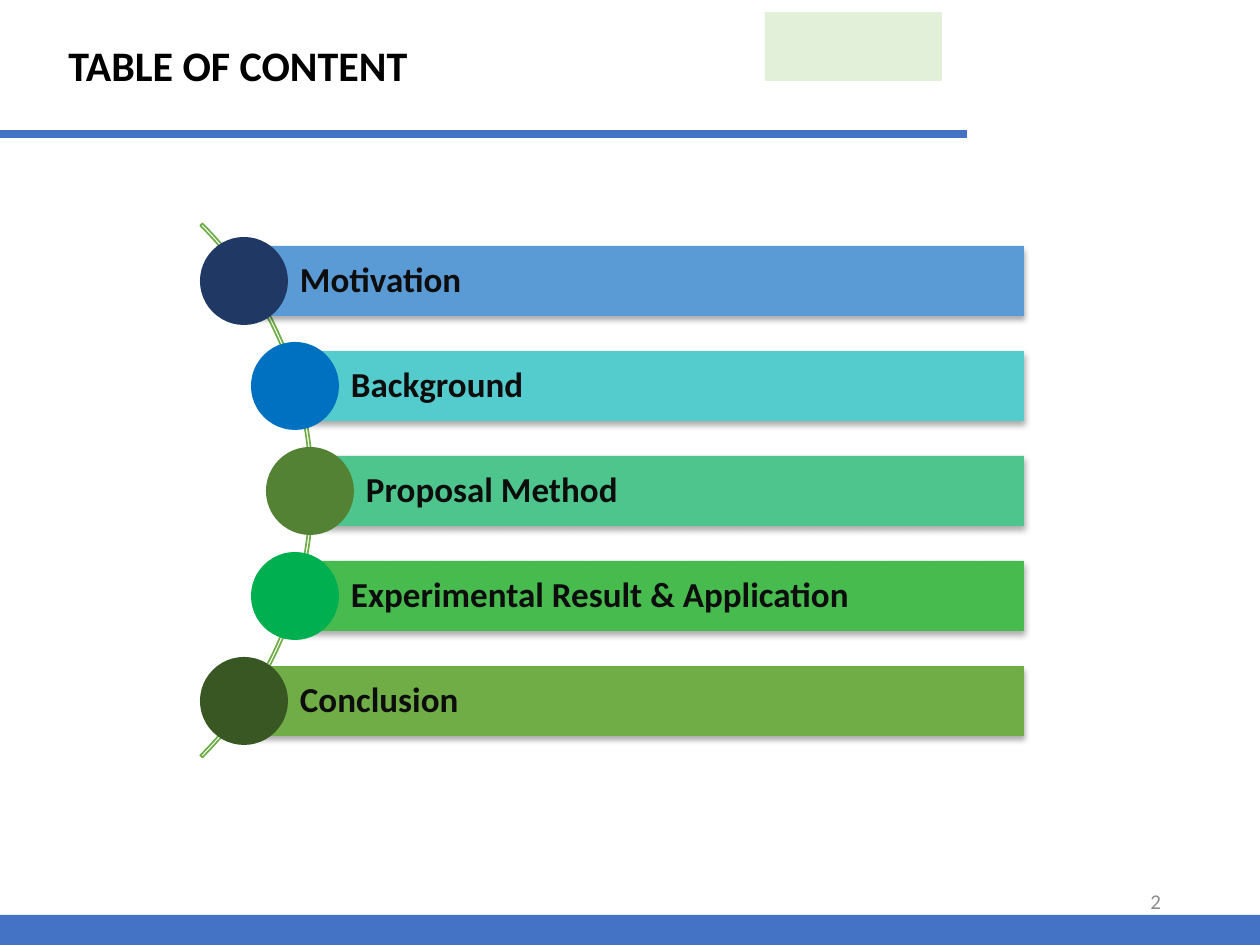
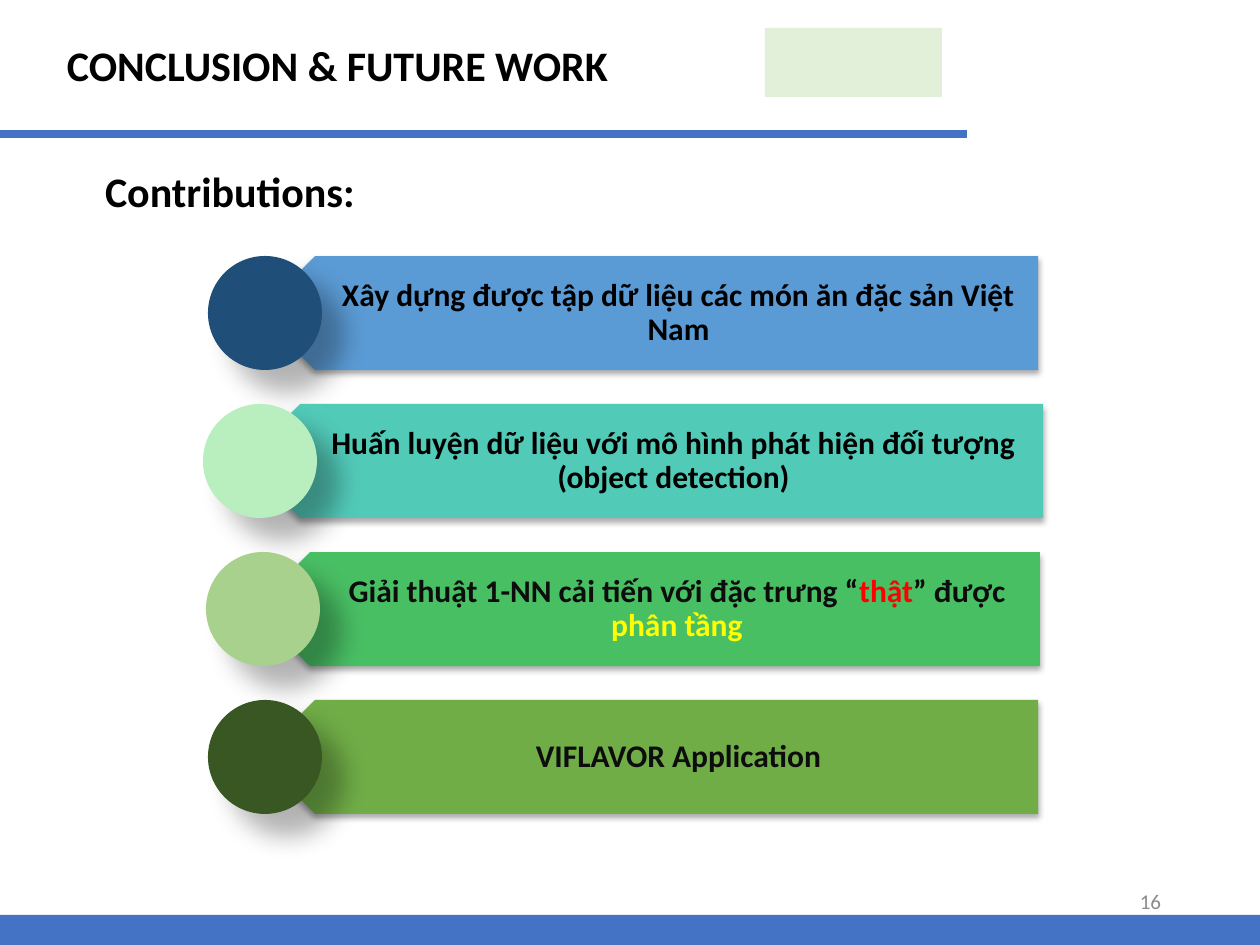
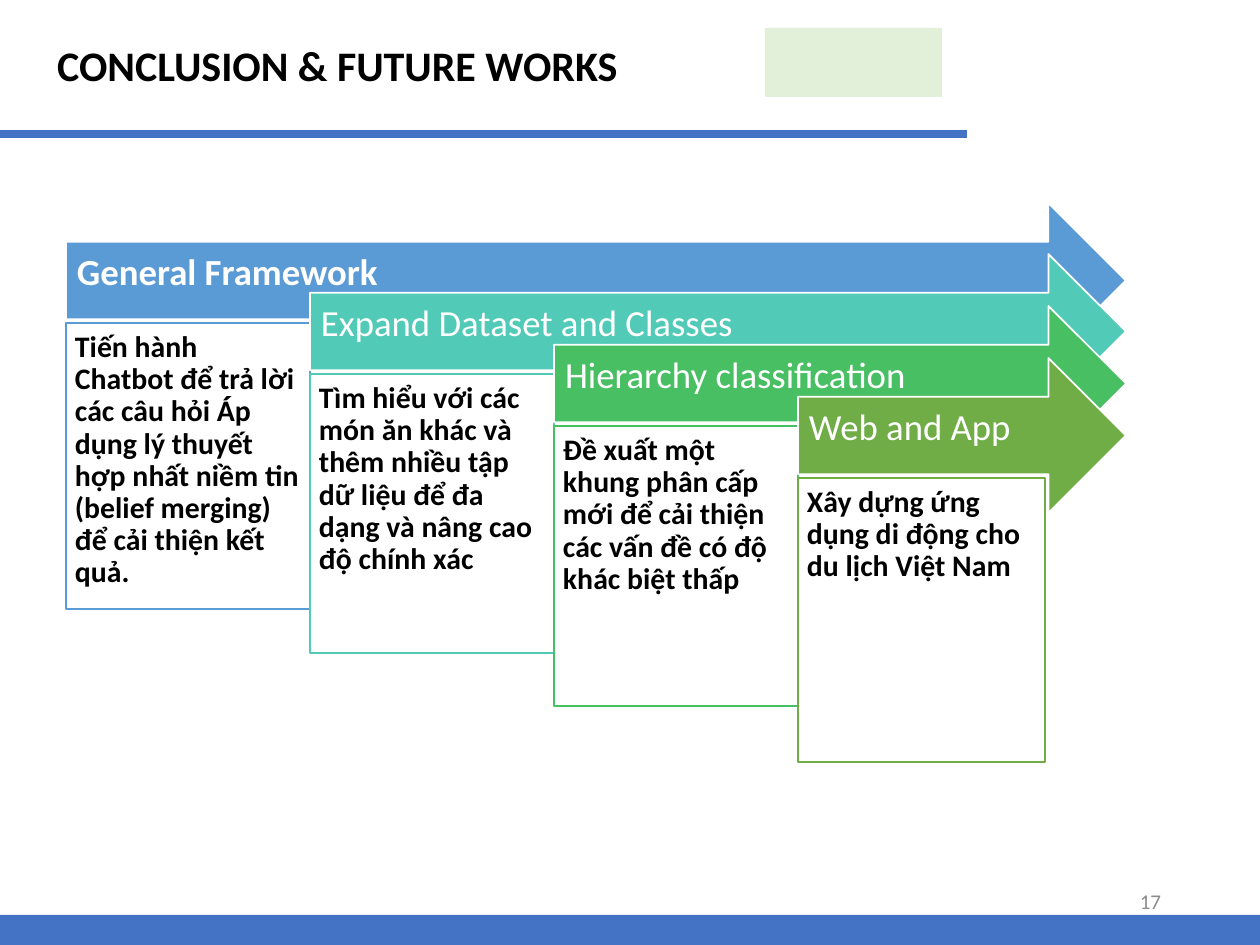
from dataclasses import dataclass

from lxml import etree
from pptx import Presentation
from pptx.dml.color import RGBColor
from pptx.enum.shapes import MSO_SHAPE
from pptx.enum.text import MSO_ANCHOR, PP_ALIGN
from pptx.oxml.ns import qn
from pptx.util import Emu, Pt

RECTANGLE, ELLIPSE = MSO_SHAPE.RECTANGLE, MSO_SHAPE.OVAL
PLATE, ARROW, ARC = MSO_SHAPE.PENTAGON, MSO_SHAPE.RIGHT_ARROW, MSO_SHAPE.BLOCK_ARC
LEFT, CENTER, RIGHT = PP_ALIGN.LEFT, PP_ALIGN.CENTER, PP_ALIGN.RIGHT
TOP, MIDDLE = MSO_ANCHOR.TOP, MSO_ANCHOR.MIDDLE


@dataclass(frozen=True)
class Theme:
    font: str = "Calibri"
    band: str = "4472C4"
    black: str = "000000"
    ink: str = "0D0D0D"
    white: str = "FFFFFF"
    grey: str = "8C8C8C"
    pale: str = "E2F0D9"
    red: str = "FF0000"
    yellow: str = "FFFF00"
    blue: str = "5B9BD5"
    teal: str = "52CAB8"
    green: str = "49BF64"
    olive: str = "70AD47"
    forest: str = "385723"
    title_size: int = 24
    arrow_size: int = 21
    agenda_size: int = 20
    item_size: int = 18
    detail_size: int = 17
    number_size: int = 12


THEME = Theme()
# Shadows: opacity %, blur pt, distance pt, angle
BAR_SHADOW = (32, 3.5, 2.2, 90)
DISC_SHADOW = (30, 15, 18, 45)

# Title, title left and width, page number, header block top
FRAMES = {
    "agenda": ("TABLE OF CONTENT", 54, 368, "2", 12),
    "contributions": ("CONCLUSION & FUTURE WORK", 52, 571, "16", 28),
    "future": ("CONCLUSION & FUTURE WORKS", 42, 591, "17", 28),
}
# Label, bar left, bar colour, disc colour
AGENDA = [
    ("Motivation", 244, THEME.blue, "203864"),
    ("Background", 295, "54CCCD", "0070C0"),
    ("Proposal Method", 310, "4DC58D", "548235"),
    ("Experimental Result & Application", 295, "48BB4F", "00B050"),
    ("Conclusion", 244, THEME.olive, THEME.forest),
]
# Spans, plate left and right, disc left, plate colour, disc colour
CONTRIBUTIONS = [
    ([("Xây dựng được tập dữ liệu các món ăn đặc sản Việt Nam", THEME.black)],
     258, 1038, 208, THEME.blue, "1F4E79"),
    ([("Huấn luyện dữ liệu với mô hình phát hiện đối tượng (object detection)", THEME.black)],
     243, 1043, 203, THEME.teal, "B9EFBF"),
    ([("Giải thuật 1-NN cải tiến với đặc trưng “", THEME.ink), ("thật", THEME.red),
      ("” được ", THEME.ink), ("phân tầng", THEME.yellow)],
     253, 1040, 206, THEME.green, "A9D18E"),
    ([("VIFLAVOR Application", THEME.ink)],
     258, 1038, 208, THEME.olive, THEME.forest),
]
# Heading, bold heading, detail, detail width and height, colour
FUTURE = [
    ("General Framework", True,
     "Tiến hành Chatbot để trả lời các câu hỏi Áp dụng lý thuyết hợp nhất niềm tin "
     "(belief merging) để cải thiện kết quả.", 244, 286, THEME.blue),
    ("Expand Dataset and Classes", False,
     "Tìm hiểu với các món ăn khác và thêm nhiều tập dữ liệu để đa dạng và nâng cao "
     "độ chính xác", 244, 279, THEME.teal),
    ("Hierarchy classification", False,
     "Đề xuất một khung phân cấp mới để cải thiện các vấn đề có độ khác biệt thấp",
     244, 280, THEME.green),
    ("Web and App", False,
     "Xây dựng ứng dụng di động cho du lịch Việt Nam", 247, 284, THEME.olive),
]


def px(length):
    return Emu(round(length * 914400 / 126))


def add_shadow(shape, opacity, blur, distance, angle):
    effects = shape.element.spPr.find(qn("a:effectLst"))
    shadow = etree.SubElement(
        effects, qn("a:outerShdw"), blurRad=str(Pt(blur)), dist=str(Pt(distance)),
        dir=str(angle * 60000), algn="ctr", rotWithShape="0")
    tint = etree.SubElement(shadow, qn("a:srgbClr"), val=THEME.black)
    etree.SubElement(tint, qn("a:alpha"), val=str(opacity * 1000))


def add_shape(page, preset, box, fill=None, line=None, shadow=None):
    shape = page.shapes.add_shape(preset, *map(px, box))
    shape.shadow.inherit = False
    if fill:
        shape.fill.solid()
        shape.fill.fore_color.rgb = RGBColor.from_string(fill)
    else:
        shape.fill.background()
    if line:
        shape.line.color.rgb = RGBColor.from_string(line)
        shape.line.width = Pt(1)
    else:
        shape.line.fill.background()
    if shadow:
        add_shadow(shape, *shadow)
    return shape


def write(shape, spans, size, align=LEFT, anchor=MIDDLE, insets=(13, 6, 13, 6),
          bold=True, wrap=True, spacing=0.9):
    """Fill the shape with one paragraph made of (text, colour) spans."""
    frame = shape.text_frame
    frame.word_wrap = wrap
    frame.vertical_anchor = anchor
    (frame.margin_left, frame.margin_top,
     frame.margin_right, frame.margin_bottom) = map(px, insets)
    para = frame.paragraphs[0]
    para.alignment = align
    para.line_spacing = spacing
    for text, color in spans:
        span = para.add_run()
        span.text = text
        span.font.name = THEME.font
        span.font.size = Pt(size)
        span.font.bold = bold
        span.font.color.rgb = RGBColor.from_string(color)


def add_text(page, box, spans, size, **style):
    write(page.shapes.add_textbox(*map(px, box)), spans, size, **style)


def add_heading(page, box, text):
    add_text(page, box, [(text, THEME.black)], THEME.title_size,
             align=CENTER, anchor=TOP, wrap=False, spacing=1.0)


def add_page(deck, frame):
    title, left, width, number, block_top = frame
    page = deck.slides.add_slide(deck.slide_layouts[6])
    add_shape(page, RECTANGLE, (0, 915, 1260, 30), THEME.band)
    add_shape(page, RECTANGLE, (0, 130, 967, 8), THEME.band)
    add_shape(page, RECTANGLE, (765, block_top, 177, 69), THEME.pale)
    add_heading(page, (left, 34, width, 63), title)
    add_text(page, (890, 876, 284, 50), [(number, THEME.grey)], THEME.number_size,
             align=RIGHT, bold=False, spacing=1.0)
    return page


def build_agenda(deck):
    page = add_page(deck, FRAMES["agenda"])
    arc = add_shape(page, ARC, (-442, 113, 755, 755), line=THEME.olive)
    for index, value in enumerate((189, 27, 0.004)):
        arc.adjustments[index] = value
    for index, (label, left, color, disc_color) in enumerate(AGENDA):
        top = 246 + 105 * index
        bar = add_shape(page, RECTANGLE, (left, top, 1024 - left, 70), color, shadow=BAR_SHADOW)
        write(bar, [(label, THEME.ink)], THEME.agenda_size, insets=(56, 8, 8, 8))
        add_shape(page, ELLIPSE, (left - 44, top - 9, 88, 88), disc_color)


def build_contributions(deck):
    page = add_page(deck, FRAMES["contributions"])
    add_heading(page, (91, 160, 278, 63), "Contributions:")
    size = 114
    for index, (spans, left, right, disc_left, color, disc_color) in enumerate(CONTRIBUTIONS):
        top = 256 + 148 * index
        plate = add_shape(page, PLATE, (left, top, right - left, size), color, shadow=BAR_SHADOW)
        plate.rotation = 180
        text_left = left + size // 4
        add_text(page, (text_left, top, right - text_left, size), spans, THEME.item_size,
                 align=CENTER, insets=(51, 9, 18, 9))
        add_shape(page, ELLIPSE, (disc_left, top, size, size), disc_color, shadow=DISC_SHADOW)


def build_future(deck):
    page = add_page(deck, FRAMES["future"])
    for index, (heading, bold, detail, width, height, color) in enumerate(FUTURE):
        left, top = 66 + 244 * index, 203 + 155 * index // 3
        arrow = add_shape(page, ARROW, (left, top, 1126 - left, 155), color, line=THEME.white)
        write(arrow, [(heading, THEME.white)], THEME.arrow_size,
              insets=(11, 11, 35, 24), bold=bold)
        card = add_shape(page, RECTANGLE, (left, top + 120, width, height),
                         THEME.white, line=color)
        write(card, [(detail, THEME.black)], THEME.detail_size, anchor=TOP, insets=(9, 9, 9, 9))


def main():
    deck = Presentation()
    deck.slide_width, deck.slide_height = px(1260), px(945)
    build_agenda(deck)
    build_contributions(deck)
    build_future(deck)
    deck.save("out.pptx")


if __name__ == "__main__":
    main()
